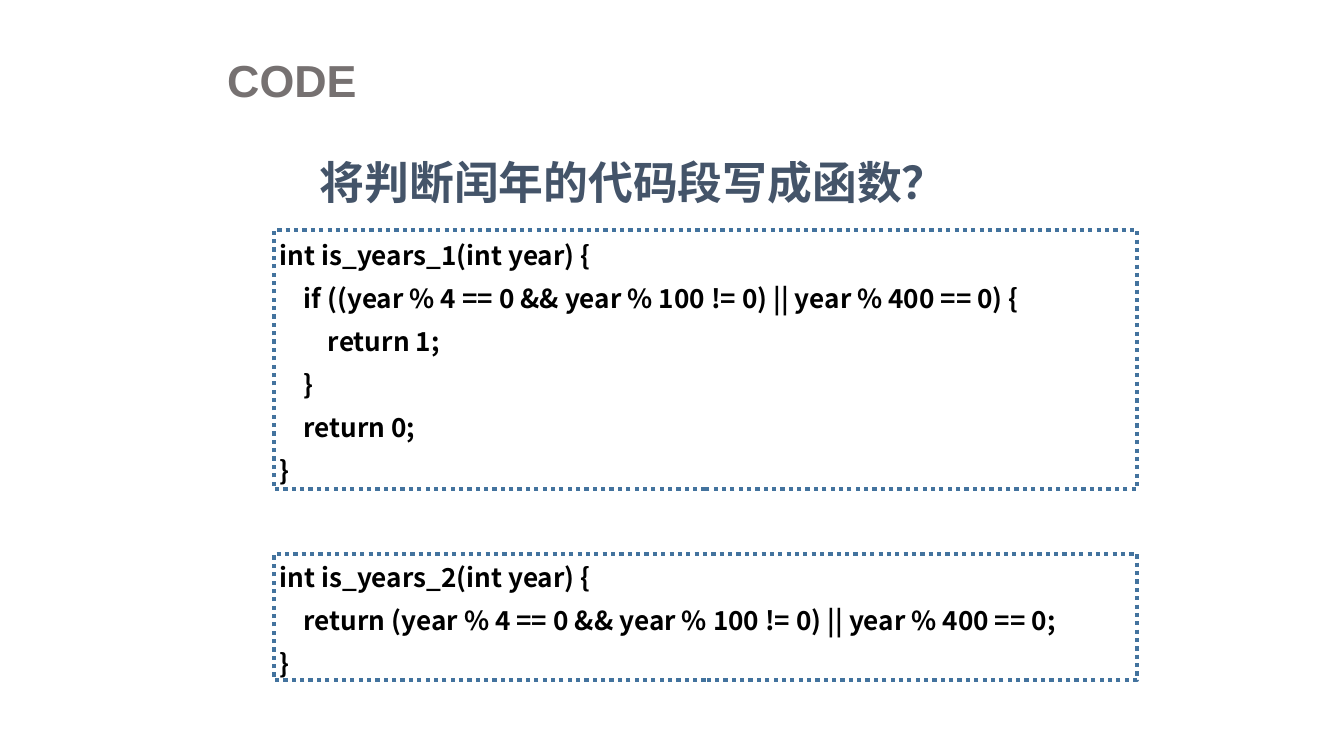
"""Build a slide showing two leap year functions in dotted code boxes."""

from dataclasses import dataclass

from pptx import Presentation
from pptx.dml.color import RGBColor
from pptx.enum.dml import MSO_LINE
from pptx.enum.shapes import MSO_SHAPE
from pptx.enum.text import MSO_ANCHOR, PP_ALIGN
from pptx.util import Inches, Pt

COLORS = {"title": "767171", "head": "445469", "code": "000000",
          "fill": "FFFFFF", "edge": "43739E"}
HEAD = {"name": "Arial", "size": Pt(24), "bold": True}
CODE = {"name": "Noto Sans CJK SC", "size": Pt(14), "bold": True}
PARA = {"alignment": PP_ALIGN.LEFT, "line_spacing": 1.2, "space_before": Pt(2.8)}
INSET = {"margin_left": Inches(0.04), "margin_right": 0, "margin_top": 0,
         "margin_bottom": 0, "word_wrap": True,
         "vertical_anchor": MSO_ANCHOR.MIDDLE}
PLAIN = {"margin_left": Inches(0.07), "margin_right": Inches(0.07),
         "margin_top": Inches(0.04), "margin_bottom": Inches(0.04),
         "word_wrap": False, "vertical_anchor": MSO_ANCHOR.TOP}
WIDE = {**PLAIN, "margin_left": Inches(0.1), "margin_right": Inches(0.1),
        "margin_top": Inches(0.05), "margin_bottom": Inches(0.05)}
STEP = Inches(0.18)
WIDTH = Inches(10)


@dataclass
class Line:
    """One line of code with its nesting depth."""
    text: str
    depth: int = 0


@dataclass
class Block:
    """One code box."""
    top: float
    height: float
    lines: list[Line]


BLOCKS = [
    Block(1.71, 1.93, [
        Line("int is_years_1(int year) {"),
        Line("if ((year % 4 == 0 && year % 100 != 0) || year % 400 == 0) {", 1),
        Line("return 1;", 2),
        Line("}", 1),
        Line("return 0;", 1),
        Line("}"),
    ]),
    Block(4.12, 0.94, [
        Line("int is_years_2(int year) {"),
        Line("return (year % 4 == 0 && year % 100 != 0) || year % 400 == 0;", 1),
        Line("}"),
    ]),
]


def apply(item, values: dict) -> None:
    """Set every attribute in values on item."""
    for key, value in values.items():
        setattr(item, key, value)


def tint(key: str) -> RGBColor:
    """Look up a colour."""
    return RGBColor.from_string(COLORS[key])


def write(para, text: str, style: dict, color: str) -> None:
    """Add one formatted run to a paragraph."""
    run = para.add_run()
    run.text = text
    apply(run.font, style)
    run.font.color.rgb = tint(color)


def label(shape, text: str, frame: dict, color: str) -> None:
    """Fill a heading shape with left-aligned text."""
    apply(shape.text_frame, frame)
    para = shape.text_frame.paragraphs[0]
    para.alignment = PP_ALIGN.LEFT
    write(para, text, HEAD, color)


def draw(slide, block: Block) -> None:
    """Draw a dotted box holding indented code."""
    box = slide.shapes.add_shape(MSO_SHAPE.RECTANGLE, Inches(2.04), Inches(block.top),
                                 Inches(6.42), Inches(block.height))
    box.shadow.inherit = False
    box.fill.solid()
    box.fill.fore_color.rgb = tint("fill")
    box.line.color.rgb = tint("edge")
    apply(box.line, {"width": Pt(2.25), "dash_style": MSO_LINE.ROUND_DOT})
    frame = box.text_frame
    apply(frame, INSET)
    for index, line in enumerate(block.lines):
        para = frame.add_paragraph() if index else frame.paragraphs[0]
        apply(para, PARA)
        para._p.get_or_add_pPr().set("marL", str(line.depth * STEP))
        write(para, line.text, CODE, "code")


def main() -> None:
    """Build and save the slide."""
    deck = Presentation()
    apply(deck, {"slide_width": WIDTH, "slide_height": WIDTH * 9 // 16})
    slide = deck.slides.add_slide(deck.slide_layouts[5])
    title = slide.shapes.title
    apply(title, {"left": Inches(1.62), "top": Inches(0.35),
                  "width": Inches(1.12), "height": Inches(0.48)})
    label(title, "CODE", PLAIN, "title")
    head = slide.shapes.add_textbox(Inches(2.28), Inches(1.1), Inches(4.87), Inches(0.5))
    label(head, "将判断闰年的代码段写成函数？", WIDE, "head")
    for block in BLOCKS:
        draw(slide, block)
    deck.save("out.pptx")


if __name__ == "__main__":
    main()
